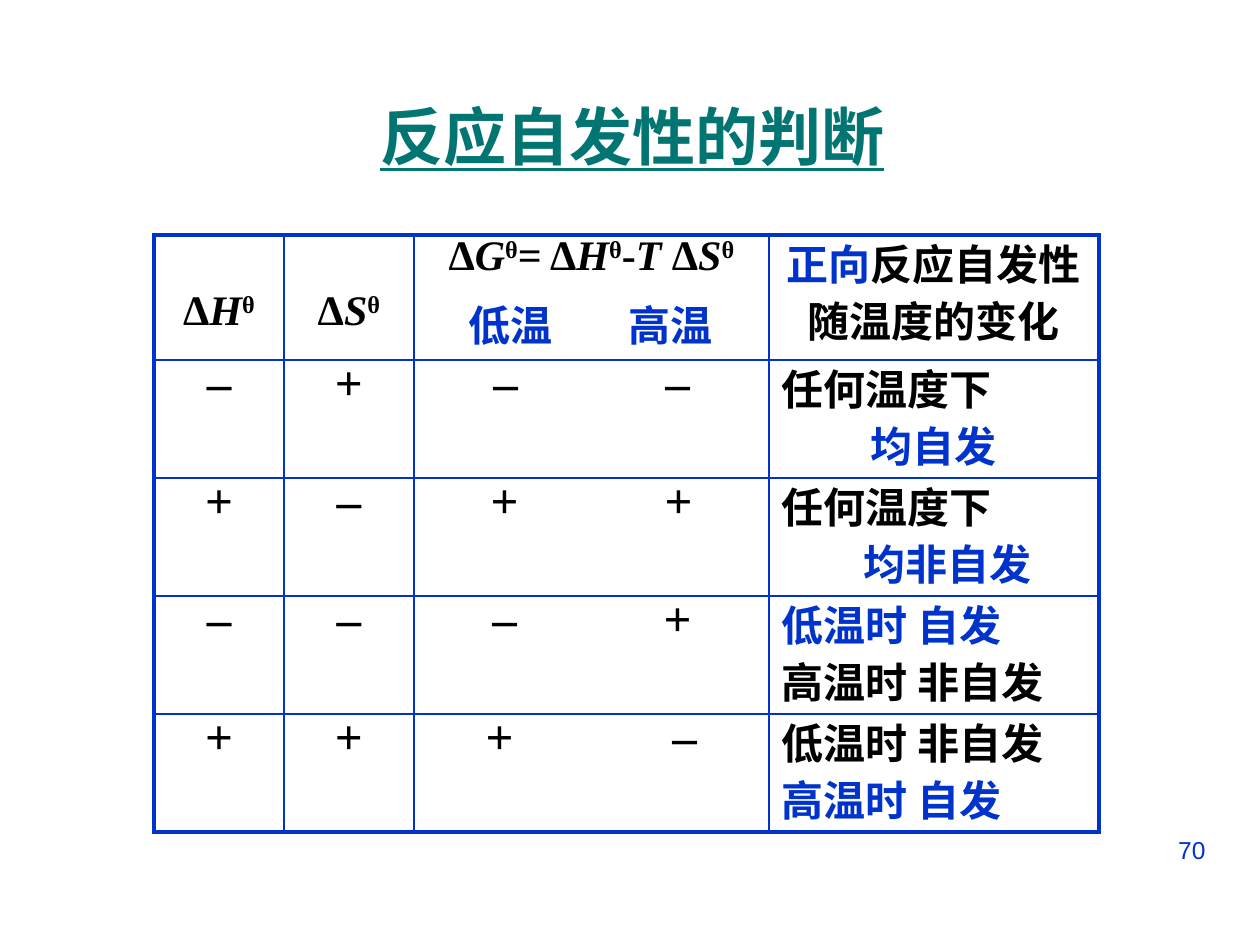
from itertools import groupby

from lxml import etree
from pptx import Presentation
from pptx import util as u
from pptx.dml.color import RGBColor
from pptx.enum import text
from pptx.oxml.ns import qn

PX = 914400 // 126
HEX = {"blue": "0033CC", "teal": "007572", "black": "000000"}
MID, LEFT, RIGHT = text.PP_ALIGN.CENTER, text.PP_ALIGN.LEFT, text.PP_ALIGN.RIGHT
SERIF, SANS = "Times New Roman", "Arial"
COLS = [130, 130, 355, 330]
ROWS = [125, 118, 118, 118, 118]
# Signs of ΔH, ΔS and ΔG at low and high temperature, with the tab stops of ΔG
SIGNS = [
    ("–", "+", "\t–\t–", (79, 251)),
    ("+", "–", "\t+\t+", (78, 252)),
    ("–", "–", "\t–\t+", (78, 251)),
    ("+", "+", "\t+\t–", (73, 258)),
]
# Lines of the last column: wording, colour, alignment, indent
NOTES = [
    [("任何温度下", "black", LEFT, 0), ("均自发", "blue", MID, 0)],
    [("任何温度下", "black", LEFT, 0), ("均非自发", "blue", MID, 28)],
    [("低温时 自发", "blue", LEFT, 0), ("高温时 非自发", "black", LEFT, 0)],
    [("低温时 非自发", "black", LEFT, 0), ("高温时 自发", "blue", LEFT, 0)],
]


def rgb(name):
    return RGBColor.from_string(HEX[name])


def style(font, size, face, color, bold=False):
    font.size, font.name, font.bold = u.Pt(size), face, bold
    font.color.rgb = rgb(color)


def add_box(slide, words, area, size, color, align, bold=False):
    box = slide.shapes.add_textbox(*[n * PX for n in area])
    frame = box.text_frame
    frame.word_wrap = True
    para = frame.paragraphs[0]
    para.text, para.alignment = words, align
    style(para.font, size, SANS, color, bold)
    return frame


def add_line(cell, words="", size=24, color="black", align=MID, gap=4.8,
             indent=0, stops=()):
    """Fill the cell's empty first paragraph, or add one below it."""
    frame = cell.text_frame
    para = frame.paragraphs[0]
    if para.runs:
        para = frame.add_paragraph()
        para.space_before = u.Pt(gap)
    para.alignment, para.line_spacing = align, 0.8
    props = para._p.get_or_add_pPr()
    if indent:
        props.set("marL", str(indent * PX))
    if stops:
        tabs = etree.SubElement(props, qn("a:tabLst"))
        for stop in stops:
            etree.SubElement(tabs, qn("a:tab"), pos=str(stop * PX), algn="ctr")
    style(para.font, size, SERIF, color, True)
    if words:
        para.add_run().text = words
    return para


def add_math(cell, words):
    """Write a formula with italic quantities and a raised θ."""
    para = add_line(cell)
    for kind, part in groupby(words, lambda c: "θ" if c == "θ" else c in "GHST"):
        run = para.add_run()
        run.text = "".join(part)
        if kind == "θ":
            run._r.get_or_add_rPr().set("baseline", "30000")
        elif kind:
            run.font.italic = True


def set_edges(cell, row, col):
    """Draw thick lines round the table and thin ones inside it."""
    outer = {"L": col == 0, "R": col == len(COLS) - 1,
             "T": row == 0, "B": row == len(ROWS) - 1}
    props = cell._tc.get_or_add_tcPr()
    for spot, (side, thick) in enumerate(outer.items()):
        width = u.Pt(2.25 if thick else 1)
        line = etree.Element(qn("a:ln" + side), w=str(width))
        fill = etree.SubElement(line, qn("a:solidFill"))
        etree.SubElement(fill, qn("a:srgbClr"), val=HEX["blue"])
        props.insert(spot, line)


def make_grid(slide):
    area = [n * PX for n in (154, 235, sum(COLS), sum(ROWS))]
    grid = slide.shapes.add_table(len(ROWS), len(COLS), *area).table
    grid.first_row = grid.horz_banding = False
    for col, width in zip(grid.columns, COLS):
        col.width = width * PX
    for row, height in zip(grid.rows, ROWS):
        row.height = height * PX
    for r in range(len(ROWS)):
        for c in range(len(COLS)):
            cell = grid.cell(r, c)
            cell.fill.background()
            set_edges(cell, r, c)
    return grid


def fill_head(grid):
    heat, chaos, energy, trend = [grid.cell(0, c) for c in range(4)]
    for cell, words in ((heat, "ΔHθ"), (chaos, "ΔSθ")):
        cell.margin_top = 61 * PX
        add_math(cell, words)
    add_math(energy, "ΔGθ= ΔHθ-T ΔSθ")
    add_line(energy, "\t低温\t高温", color="blue", align=LEFT, gap=14,
             stops=(84, 244))
    para = add_line(trend, "正向")
    para.runs[0].font.color.rgb = rgb("blue")
    para.add_run().text = "反应自发性"
    add_line(trend, "随温度的变化")


def fill_body(grid):
    for r, (signs, notes) in enumerate(zip(SIGNS, NOTES), 1):
        heat, chaos, energy, stops = signs
        add_line(grid.cell(r, 0), heat, 28)
        add_line(grid.cell(r, 1), chaos, 28)
        add_line(grid.cell(r, 2), energy, 28, align=LEFT, stops=stops)
        for words, color, align, indent in notes:
            add_line(grid.cell(r, 3), words, color=color, align=align,
                     indent=indent)


def main():
    deck = Presentation()
    deck.slide_width, deck.slide_height = 1260 * PX, 945 * PX
    slide = deck.slides.add_slide(deck.slide_layouts[6])
    add_box(slide, "70", (903, 829, 315, 66), 14, "blue", RIGHT)
    title = add_box(slide, "反应自发性的判断", (44, 76, 1177, 118), 36, "teal",
                    MID, True)
    title.vertical_anchor = text.MSO_ANCHOR.MIDDLE
    title.paragraphs[0].font.underline = True
    grid = make_grid(slide)
    fill_head(grid)
    fill_body(grid)
    deck.save("out.pptx")


if __name__ == "__main__":
    main()
